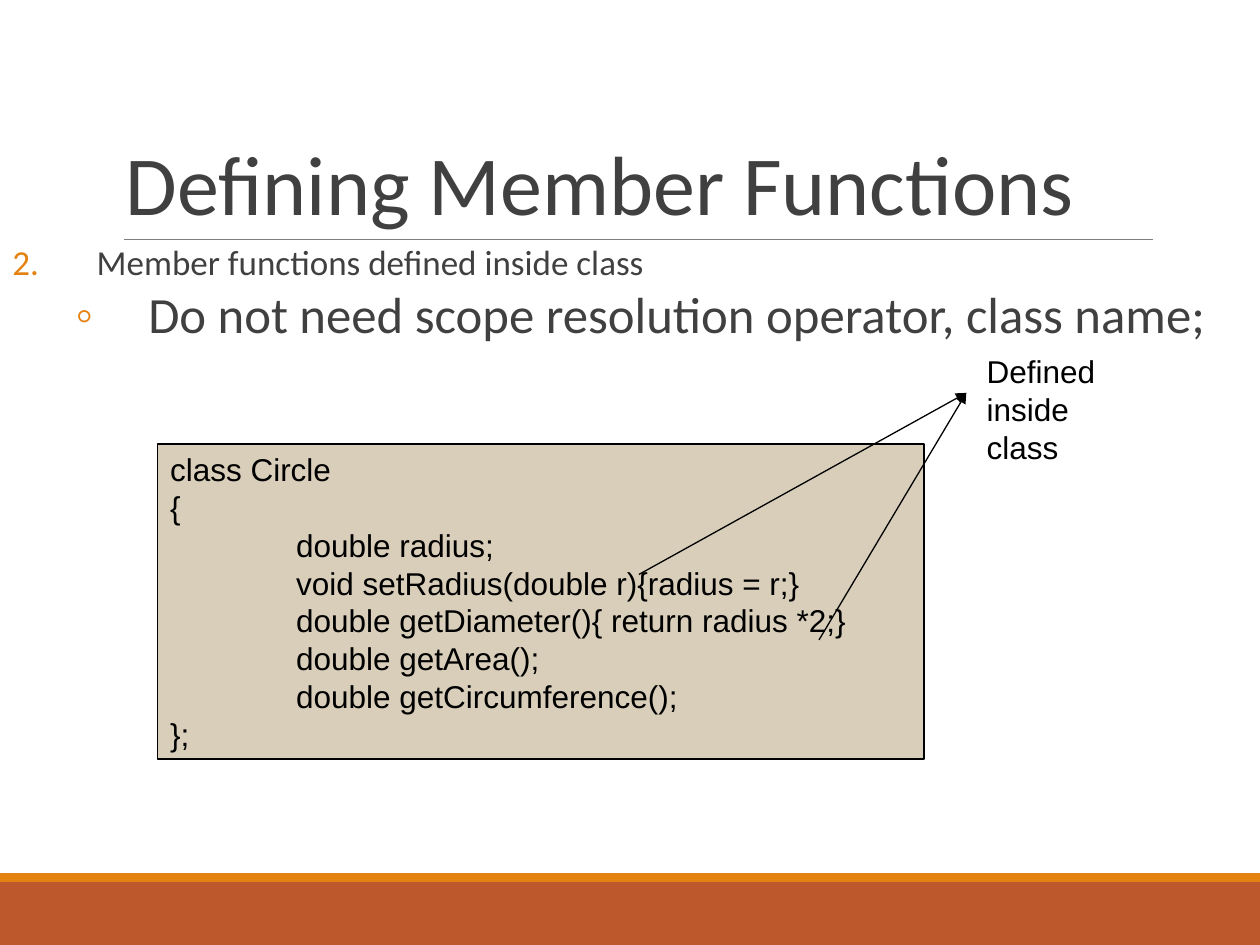
from dataclasses import dataclass

from lxml import etree
from pptx import Presentation
from pptx.dml.color import RGBColor
from pptx.enum.shapes import MSO_CONNECTOR, MSO_SHAPE
from pptx.enum.text import MSO_ANCHOR, PP_ALIGN
from pptx.oxml.ns import qn
from pptx.util import Cm, Pt

RECT = MSO_SHAPE.RECTANGLE
LINE = MSO_CONNECTOR.STRAIGHT
LEFT = PP_ALIGN.LEFT
TOP, MIDDLE, BOTTOM = MSO_ANCHOR.TOP, MSO_ANCHOR.MIDDLE, MSO_ANCHOR.BOTTOM

BLACK, GREY, ORANGE, RUST, SAND = "000000", "404040", "E48312", "BD582C", "D8CEBA"
TIP = (19.48, 7.92)  # where both arrows meet


@dataclass
class Box:
    left: float
    top: float
    width: float
    height: float

    def place(self) -> tuple:
        return Cm(self.left), Cm(self.top), Cm(self.width), Cm(self.height)


@dataclass
class Font:
    name: str
    size: float
    color: str


@dataclass
class Point:
    text: str
    size: float
    level: int
    margin: float
    indent: float
    before: float
    after: float
    face: str
    bullet: str
    attrs: dict


CODE = Font("Arial", 18, BLACK)
LINES = [
    "class Circle",
    "{",
    "\tdouble radius;",
    "\tvoid setRadius(double r){radius = r;}",
    "\tdouble getDiameter(){ return radius *2;}",
    "\tdouble getArea();",
    "\tdouble getCircumference();",
    "};",
]
POINTS = [
    Point("Member functions defined inside class", 20, 0, 1.7, -1.7, 12, 2,
          "Calibri", "a:buAutoNum", {"type": "arabicPeriod", "startAt": "2"}),
    Point("Do not need scope resolution operator, class name;", 29, 1, 2.74, -1.47,
          2, 4, "Arial", "a:buChar", {"char": "◦"}),
]
BANDS = [(Box(0, 17.78, 25.4, 1.27), RUST), (Box(0, 17.6, 25.4, 0.18), ORANGE)]
STARTS = [(12.88, 11.58), (16.51, 12.9)]


def rgb(color: str) -> RGBColor:
    return RGBColor.from_string(color)


def add_run(para, text: str, font: Font) -> None:
    run = para.add_run()
    run.text = text
    run.font.name = font.name
    run.font.size = Pt(font.size)
    run.font.color.rgb = rgb(font.color)


def set_frame(frame, anchor) -> None:
    frame.word_wrap = True
    frame.vertical_anchor = anchor


def set_tab(para, stop: float) -> None:
    tabs = etree.SubElement(para._p.get_or_add_pPr(), qn("a:tabLst"))
    etree.SubElement(tabs, qn("a:tab"), pos=str(Cm(stop)), algn="l")


def add_rect(slide, box: Box, fill: str, edge: str = ""):
    shape = slide.shapes.add_shape(RECT, *box.place())
    shape.shadow.inherit = False
    shape.fill.solid()
    shape.fill.fore_color.rgb = rgb(fill)
    if edge:
        shape.line.color.rgb = rgb(edge)
        shape.line.width = Pt(0.75)
    else:
        shape.line.fill.background()
    return shape


def add_line(slide, start: tuple, end: tuple, color: str, width: float,
             arrow: bool = False) -> None:
    line = slide.shapes.add_connector(LINE, *(Cm(n) for n in start + end))
    line.line.color.rgb = rgb(color)
    line.line.width = Pt(width)
    props = line._element.spPr
    if arrow:
        etree.SubElement(props.find(qn("a:ln")), qn("a:tailEnd"), type="triangle")
    etree.SubElement(props, qn("a:effectLst"))


def add_text(slide, box: Box):
    frame = slide.shapes.add_textbox(*box.place()).text_frame
    set_frame(frame, TOP)
    return frame


def next_para(frame, index: int):
    return frame.add_paragraph() if index else frame.paragraphs[0]


def add_point(para, point: Point) -> None:
    para.level = point.level
    para.line_spacing = 0.9
    para.space_before = Pt(point.before)
    para.space_after = Pt(point.after)
    props = para._p.get_or_add_pPr()
    props.set("marL", str(Cm(point.margin)))
    props.set("indent", str(Cm(point.indent)))
    tint = etree.SubElement(props, qn("a:buClr"))
    etree.SubElement(tint, qn("a:srgbClr"), val=ORANGE)
    etree.SubElement(props, qn("a:buFont"), typeface=point.face)
    etree.SubElement(props, qn(point.bullet), point.attrs)
    add_run(para, point.text, Font("Calibri", point.size, GREY))


def add_title(slide, text: str) -> None:
    title = slide.shapes.title
    title.left, title.top, title.width, title.height = Box(2.28, 0.78, 20.95, 4.04).place()
    set_frame(title.text_frame, BOTTOM)
    para = title.text_frame.paragraphs[0]
    para.alignment = LEFT
    para.line_spacing = 0.85
    add_run(para, text, Font("Calibri", 48, GREY))


def main() -> None:
    deck = Presentation()
    deck.slide_width, deck.slide_height = Cm(25.4), Cm(19.05)
    slide = deck.slides.add_slide(deck.slide_layouts[5])

    for box, fill in BANDS:
        add_rect(slide, box, fill)
    add_line(slide, (2.49, 4.83), (23.24, 4.83), "7F7F7F", 0.5)
    add_title(slide, "Defining Member Functions")

    body = add_text(slide, Box(0, 4.82, 25.4, 12.83))
    for i, point in enumerate(POINTS):
        add_point(next_para(body, i), point)

    code = add_rect(slide, Box(3.18, 8.95, 15.45, 6.35), SAND, BLACK).text_frame
    set_frame(code, MIDDLE)
    for i, text in enumerate(LINES):
        para = next_para(code, i)
        para.alignment = LEFT
        set_tab(para, 2.54)
        add_run(para, text, CODE)

    for start in STARTS:
        add_line(slide, start, TIP, BLACK, 0.75, arrow=True)
    note = add_text(slide, Box(19.64, 6.97, 3.23, 2.54))
    add_run(note.paragraphs[0], "Defined inside class", CODE)

    deck.save("out.pptx")


if __name__ == "__main__":
    main()
